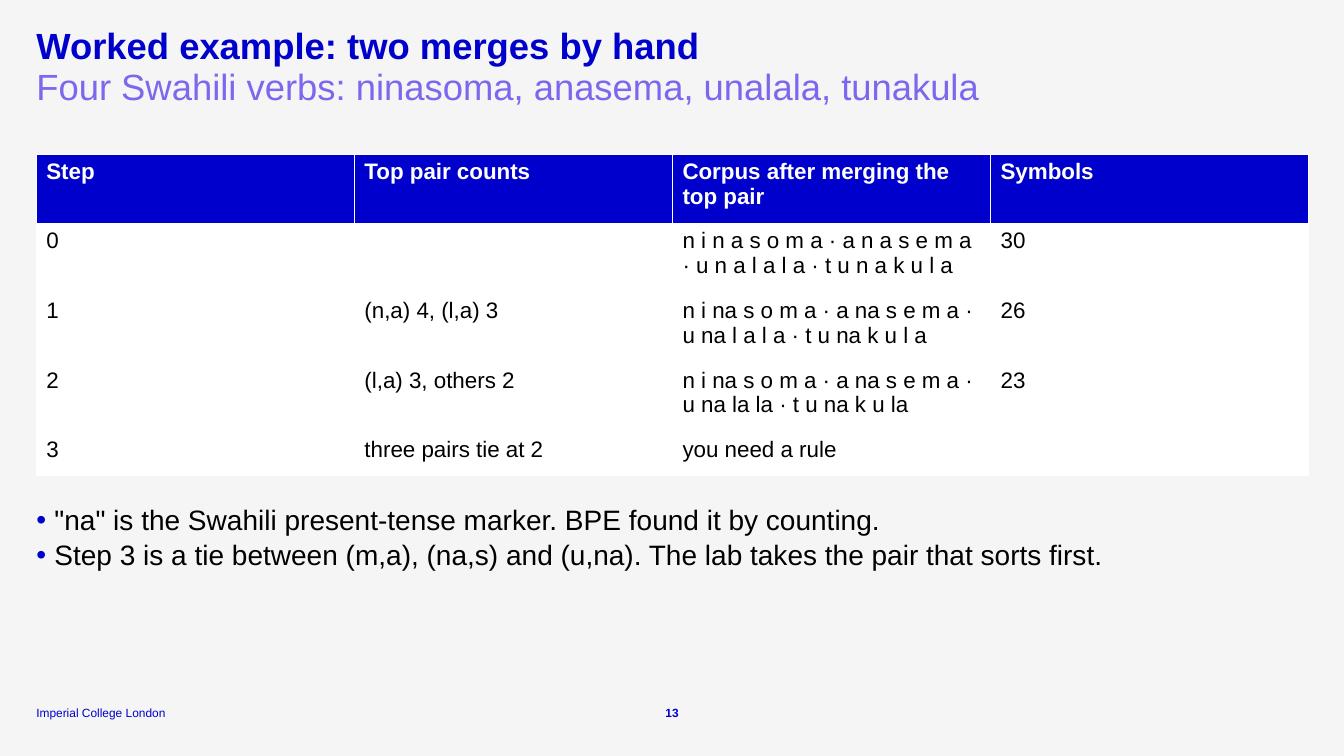
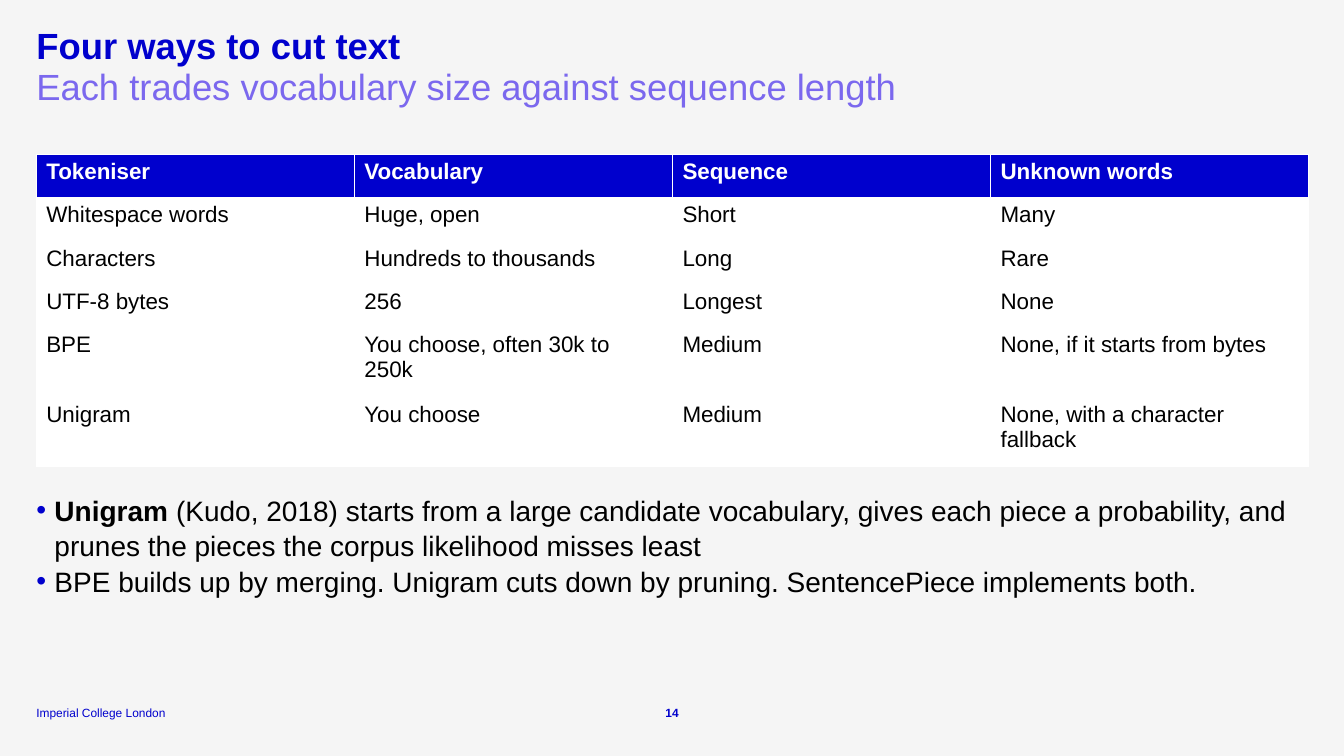
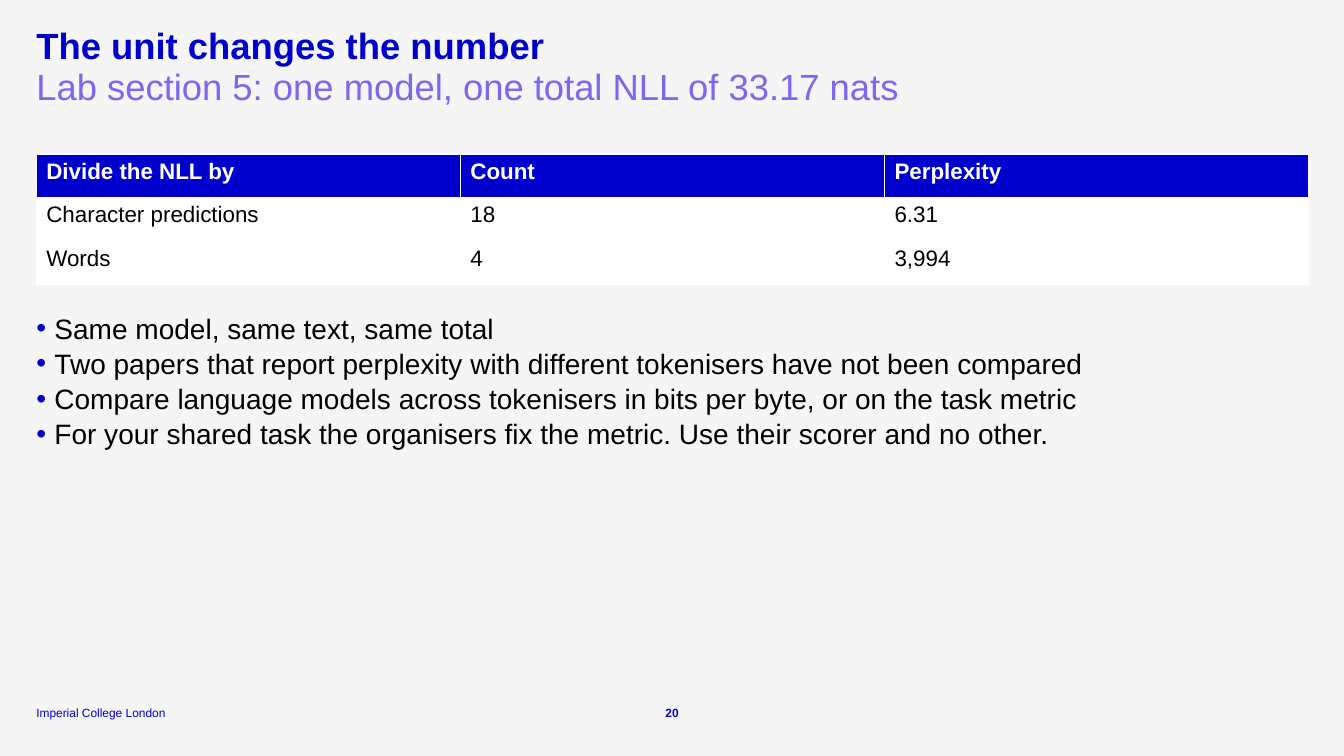
from dataclasses import dataclass

from lxml import etree
from pptx import Presentation
from pptx.dml.color import RGBColor
from pptx.enum.text import MSO_ANCHOR, MSO_AUTO_SIZE, PP_ALIGN
from pptx.oxml.ns import qn
from pptx.util import Inches, Pt

LEFT, CENTER = PP_ALIGN.LEFT, PP_ALIGN.CENTER
TOP, BOTTOM = MSO_ANCHOR.TOP, MSO_ANCHOR.BOTTOM
NO_AUTOFIT = MSO_AUTO_SIZE.NONE
TITLE_AND_CONTENT = 1


@dataclass(frozen=True)
class Theme:
    font: str = "Arial"
    background: str = "F5F5F5"
    accent: str = "0000CD"
    subtitle: str = "7B68EE"
    text: str = "000000"
    white: str = "FFFFFF"
    title_size: float = 26
    body_size: float = 20
    table_size: float = 16
    footer_size: float = 8.5


THEME = Theme()
SLIDE_WIDTH, SLIDE_HEIGHT = 13.33, 7.5
MARGIN = 0.36
CONTENT_WIDTH = 12.62
TITLE_TOP, TITLE_HEIGHT = 0.28, 0.41
TABLE_TOP, BODY_GAP = 1.53, 0.25
ROW_HEIGHTS = {1: 0.43, 2: 0.69}
FOOTER_TOP, FOOTER_HEIGHT = 6.99, 0.15
FOOTER_WIDTH, NUMBER_WIDTH = 1.55, 0.35
BULLET_INDENT = 0.18
FOOTER = "Imperial College London"


def set_format(target, values):
    for name, value in values.items():
        setattr(target, name, value)


class Deck:
    def __init__(self, theme):
        self.theme = theme
        self.presentation = Presentation()
        set_format(self.presentation, {
            "slide_width": Inches(SLIDE_WIDTH),
            "slide_height": Inches(SLIDE_HEIGHT),
        })
        self.fill(self.presentation.slide_master.background, theme.background)
        self.slide = None

    def fill(self, target, color):
        target.fill.solid()
        target.fill.fore_color.rgb = RGBColor.from_string(color)

    def run(self, paragraph, text, size, color, bold=False):
        run = paragraph.add_run()
        run.text = text
        set_format(run.font, {"name": self.theme.font, "size": Pt(size), "bold": bold})
        run.font.color.rgb = RGBColor.from_string(color)

    def frame(self, shape, left, top, width, height, anchor=TOP):
        set_format(shape, {
            "left": Inches(left),
            "top": Inches(top),
            "width": Inches(width),
            "height": Inches(height),
        })
        set_format(shape.text_frame, {
            "margin_left": 0,
            "margin_top": 0,
            "margin_right": 0,
            "margin_bottom": 0,
            "word_wrap": True,
            "auto_size": NO_AUTOFIT,
            "vertical_anchor": anchor,
        })
        return shape.text_frame

    def line(self, frame, text, size, color, bold=False, alignment=LEFT, spacing=1.0):
        paragraph = frame.paragraphs[0]
        set_format(paragraph, {"alignment": alignment, "line_spacing": spacing})
        self.run(paragraph, text, size, color, bold)

    def text_box(self, left, top, width, height, anchor=TOP):
        box = self.slide.shapes.add_textbox(0, 0, 0, 0)
        return self.frame(box, left, top, width, height, anchor)

    def start(self, title, subtitle, number):
        theme = self.theme
        layout = self.presentation.slide_layouts[TITLE_AND_CONTENT]
        self.slide = self.presentation.slides.add_slide(layout)
        title_frame = self.frame(self.slide.shapes.title, MARGIN, TITLE_TOP, CONTENT_WIDTH, TITLE_HEIGHT)
        self.line(title_frame, title, theme.title_size, theme.accent, True, spacing=0.9)
        subtitle_frame = self.text_box(MARGIN, TITLE_TOP + TITLE_HEIGHT, CONTENT_WIDTH, TITLE_HEIGHT)
        self.line(subtitle_frame, subtitle, theme.title_size, theme.subtitle, spacing=0.9)
        footer_frame = self.text_box(MARGIN, FOOTER_TOP, FOOTER_WIDTH, FOOTER_HEIGHT, BOTTOM)
        self.line(footer_frame, FOOTER, theme.footer_size, theme.accent)
        number_left = (SLIDE_WIDTH - NUMBER_WIDTH) / 2
        number_frame = self.text_box(number_left, FOOTER_TOP, NUMBER_WIDTH, FOOTER_HEIGHT, BOTTOM)
        self.line(number_frame, str(number), theme.footer_size, theme.accent, True, CENTER)

    def table(self, rows, line_counts):
        theme = self.theme
        heights = [ROW_HEIGHTS[count] for count in line_counts]
        table = self.slide.shapes.add_table(
            len(rows), len(rows[0]), Inches(MARGIN), Inches(TABLE_TOP),
            Inches(CONTENT_WIDTH), Inches(sum(heights)),
        ).table
        table.horz_banding = False
        for row_index, values in enumerate(rows):
            header = row_index == 0
            table.rows[row_index].height = Inches(heights[row_index])
            for column_index, value in enumerate(values):
                cell = table.cell(row_index, column_index)
                self.fill(cell, theme.accent if header else theme.white)
                if value:
                    color = theme.white if header else theme.text
                    self.run(cell.text_frame.paragraphs[0], value, theme.table_size, color, header)
        return TABLE_TOP + sum(heights)

    def bullets(self, items, table_bottom, height):
        theme = self.theme
        body = self.slide.placeholders[1]
        frame = self.frame(body, MARGIN, table_bottom + BODY_GAP, CONTENT_WIDTH, height)
        for index, (lead, text) in enumerate(items):
            paragraph = frame.add_paragraph() if index else frame.paragraphs[0]
            set_format(paragraph, {"line_spacing": 1.05, "space_before": Pt(0)})
            properties = paragraph._p.get_or_add_pPr()
            properties.set("marL", str(Inches(BULLET_INDENT)))
            properties.set("indent", str(-Inches(BULLET_INDENT)))
            bullet_color = etree.SubElement(properties, qn("a:buClr"))
            etree.SubElement(bullet_color, qn("a:srgbClr"), val=theme.accent)
            etree.SubElement(properties, qn("a:buChar"), char="•")
            if lead:
                self.run(paragraph, lead, theme.body_size, theme.text, True)
            self.run(paragraph, text, theme.body_size, theme.text)


SLIDES = [
    {
        "title": "Worked example: two merges by hand",
        "subtitle": "Four Swahili verbs: ninasoma, anasema, unalala, tunakula",
        "number": 13,
        "rows": [
            ("Step", "Top pair counts", "Corpus after merging the top pair", "Symbols"),
            ("0", "", "n i n a s o m a · a n a s e m a · u n a l a l a · t u n a k u l a", "30"),
            ("1", "(n,a) 4, (l,a) 3", "n i na s o m a · a na s e m a · u na l a l a · t u na k u l a", "26"),
            ("2", "(l,a) 3, others 2", "n i na s o m a · a na s e m a · u na la la · t u na k u la", "23"),
            ("3", "three pairs tie at 2", "you need a rule", ""),
        ],
        "line_counts": (2, 2, 2, 2, 1),
        "bullets": [
            ("", "\"na\" is the Swahili present-tense marker. BPE found it by counting."),
            ("", "Step 3 is a tie between (m,a), (na,s) and (u,na). The lab takes the pair that sorts first."),
        ],
        "body_height": 0.99,
    },
    {
        "title": "Four ways to cut text",
        "subtitle": "Each trades vocabulary size against sequence length",
        "number": 14,
        "rows": [
            ("Tokeniser", "Vocabulary", "Sequence", "Unknown words"),
            ("Whitespace words", "Huge, open", "Short", "Many"),
            ("Characters", "Hundreds to thousands", "Long", "Rare"),
            ("UTF-8 bytes", "256", "Longest", "None"),
            ("BPE", "You choose, often 30k to 250k", "Medium", "None, if it starts from bytes"),
            ("Unigram", "You choose", "Medium", "None, with a character fallback"),
        ],
        "line_counts": (1, 1, 1, 1, 2, 2),
        "bullets": [
            ("Unigram", " (Kudo, 2018) starts from a large candidate vocabulary, gives each piece "
             "a probability, and prunes the pieces the corpus likelihood misses least"),
            ("", "BPE builds up by merging. Unigram cuts down by pruning. SentencePiece implements both."),
        ],
        "body_height": 1.35,
    },
    {
        "title": "The unit changes the number",
        "subtitle": "Lab section 5: one model, one total NLL of 33.17 nats",
        "number": 20,
        "rows": [
            ("Divide the NLL by", "Count", "Perplexity"),
            ("Character predictions", "18", "6.31"),
            ("Words", "4", "3,994"),
        ],
        "line_counts": (1, 1, 1),
        "bullets": [
            ("", "Same model, same text, same total"),
            ("", "Two papers that report perplexity with different tokenisers have not been compared"),
            ("", "Compare language models across tokenisers in bits per byte, or on the task metric"),
            ("", "For your shared task the organisers fix the metric. Use their scorer and no other."),
        ],
        "body_height": 1.98,
    },
]


def main():
    deck = Deck(THEME)
    for content in SLIDES:
        deck.start(content["title"], content["subtitle"], content["number"])
        table_bottom = deck.table(content["rows"], content["line_counts"])
        deck.bullets(content["bullets"], table_bottom, content["body_height"])
    deck.presentation.save("out.pptx")


if __name__ == "__main__":
    main()
